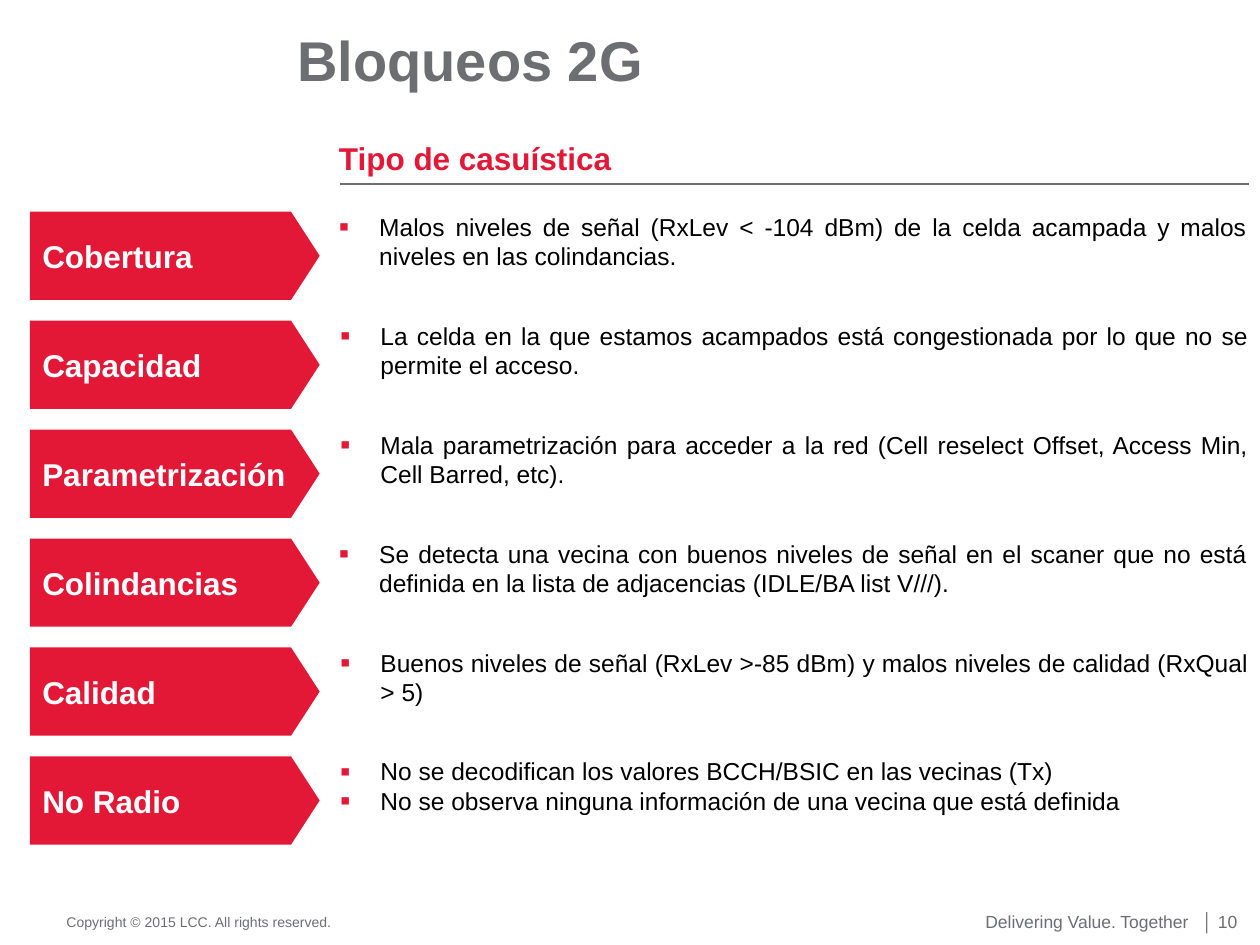
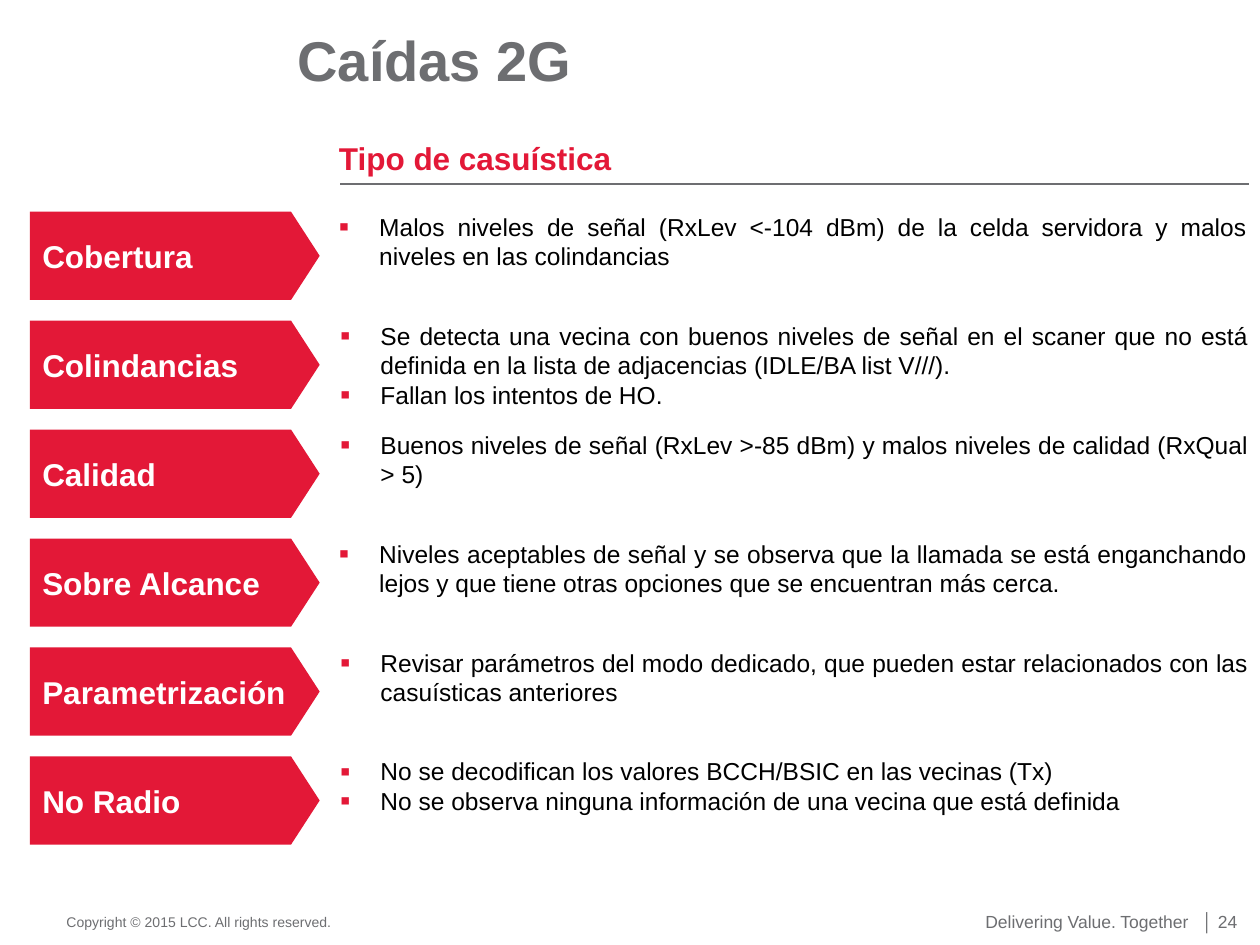
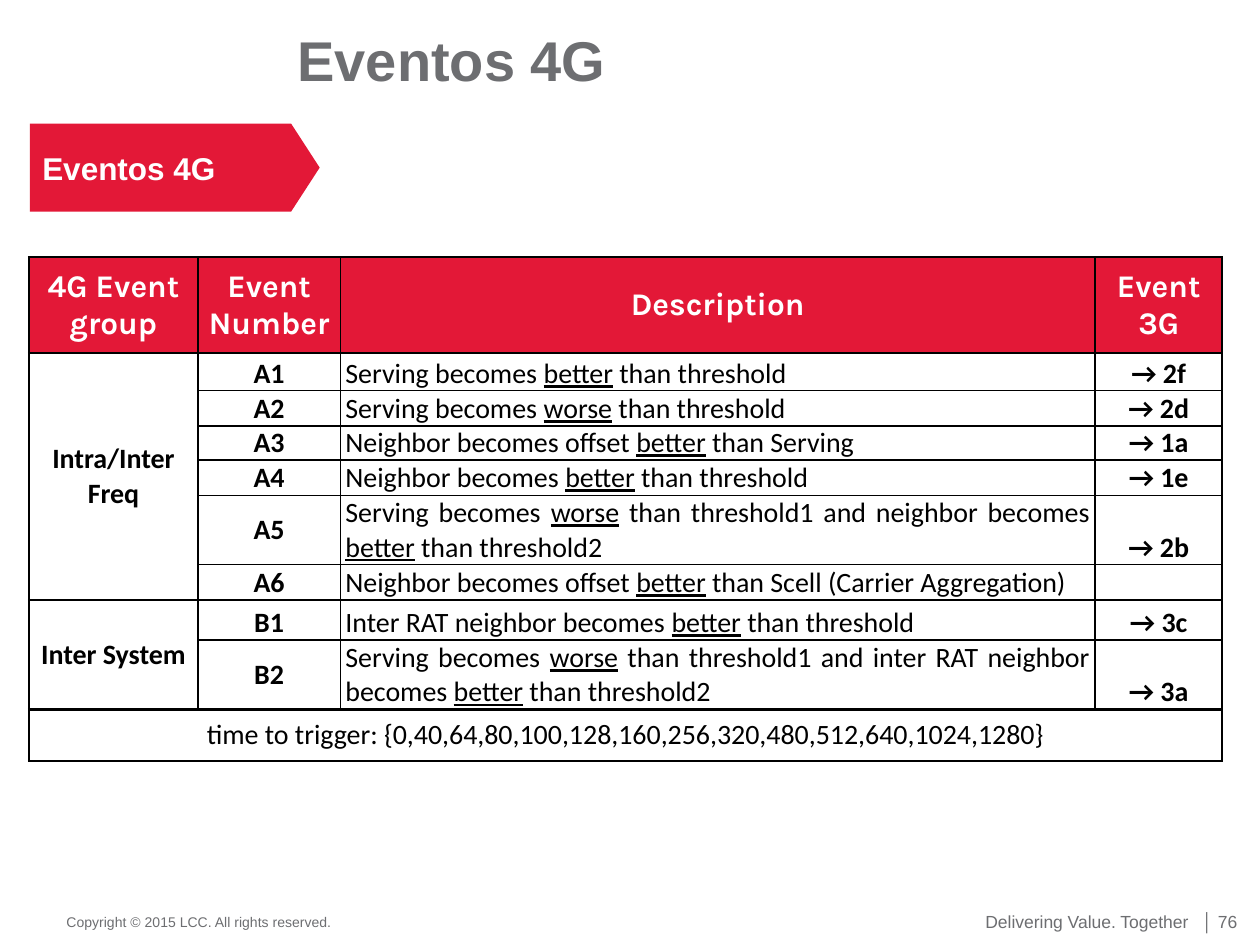
from lxml.etree import SubElement
from pptx import Presentation
from pptx.dml.color import RGBColor
from pptx.enum.shapes import MSO_CONNECTOR, MSO_SHAPE
from pptx.enum.text import MSO_ANCHOR, PP_ALIGN
from pptx.oxml.ns import qn
from pptx.util import Pt

RED = RGBColor(0xE3, 0x18, 0x37)
GRAY = RGBColor(0x6D, 0x6E, 0x71)
BLACK = RGBColor(0, 0, 0)
WHITE = RGBColor(0xFF, 0xFF, 0xFF)

ROW_TOP = 121
ROW_PITCH = 62.25
RULE_LEFT = 194.4
RULE_RIGHT = 713.5
BULLET_INDENT = 23

NO_RADIO = ("No Radio", [
    "No se decodifican los valores BCCH/BSIC en las vecinas (Tx)",
    "No se observa ninguna información de una vecina que está definida",
])
NEIGHBORS = ("Se detecta una vecina con buenos niveles de señal en el scaner que no está "
             "definida en la lista de adjacencias (IDLE/BA list V///).")
QUALITY = ("Calidad", [
    "Buenos niveles de señal (RxLev >-85 dBm) y malos niveles de calidad (RxQual > 5)",
])

BLOCKED_CASES = [
    ("Cobertura", ["Malos niveles de señal (RxLev < -104 dBm) de la celda acampada y malos "
                   "niveles en las colindancias."]),
    ("Capacidad", ["La celda en la que estamos acampados está congestionada por lo que no se "
                   "permite el acceso."]),
    ("Parametrización", ["Mala parametrización para acceder a la red (Cell reselect Offset, "
                         "Access Min, Cell Barred, etc)."]),
    ("Colindancias", [NEIGHBORS]),
    QUALITY,
    NO_RADIO,
]

DROPPED_CASES = [
    ("Cobertura", ["Malos niveles de señal (RxLev <-104 dBm) de la celda servidora y malos "
                   "niveles en las colindancias"]),
    ("Colindancias", [NEIGHBORS, "Fallan los intentos de HO."]),
    QUALITY,
    ("Sobre Alcance", ["Niveles aceptables de señal y se observa que la llamada se está "
                       "enganchando lejos y que tiene otras opciones que se encuentran más cerca."]),
    ("Parametrización", ["Revisar parámetros del modo dedicado, que pueden estar relacionados "
                         "con las casuísticas anteriores"]),
    NO_RADIO,
]

EVENT_ROWS = [
    ("4G Event group", "Event Number", "Description", "Event 3G"),
    ("Intra/Inter Freq", "A1", "Serving becomes |better| than threshold", "→ 2f"),
    ("", "A2", "Serving becomes |worse| than threshold", "→ 2d"),
    ("", "A3", "Neighbor becomes offset |better| than Serving", "→ 1a"),
    ("", "A4", "Neighbor becomes |better| than threshold", "→ 1e"),
    ("", "A5", "Serving becomes |worse| than threshold1 and neighbor becomes "
               "|better| than threshold2", "→ 2b"),
    ("", "A6", "Neighbor becomes offset |better| than Scell (Carrier Aggregation)", ""),
    ("Inter System", "B1", "Inter RAT neighbor becomes |better| than threshold", "→ 3c"),
    ("", "B2", "Serving becomes |worse| than threshold1 and inter RAT neighbor becomes "
               "|better| than threshold2", "→ 3a"),
    ("time to trigger: {0,40,64,80,100,128,160,256,320,480,512,640,1024,1280}", "", "", ""),
]
EVENT_MERGES = [((1, 0), (6, 0)), ((7, 0), (8, 0)), ((9, 0), (9, 3))]
COLUMN_WIDTHS = [96.5, 81.4, 431.3, 72.7]
ROW_HEIGHTS = [54.7, 21.6, 20.2, 19.4, 20.2, 39.6, 20.2, 23, 39.6, 29.5]
TWO_LINE_ROWS = (5, 8)
LAST_ROW = len(EVENT_ROWS) - 1
STRONG_ROW_EDGES = (0, 1, 7, 9, 10)
STRONG_COLUMN_EDGES = (0, 4)


def add_span(para, text, size, color, bold=False, face="Arial", underline=False):
    span = para.add_run()
    span.text = text
    span.font.size = Pt(size)
    span.font.name = face
    span.font.bold = bold
    span.font.color.rgb = color
    if underline:
        span.font.underline = True


def add_frame(page, left, top, width, height):
    box = page.shapes.add_textbox(Pt(left), Pt(top), Pt(width), Pt(height))
    frame = box.text_frame
    frame.word_wrap = True
    frame.margin_left = frame.margin_right = frame.margin_top = frame.margin_bottom = 0
    return frame


def add_label(page, text, bounds, size, color, bold=False, align=PP_ALIGN.LEFT):
    para = add_frame(page, *bounds).paragraphs[0]
    para.alignment = align
    add_span(para, text, size, color, bold)


def add_page(deck, title, number):
    page = deck.slides.add_slide(deck.slide_layouts[6])
    add_label(page, "Delivering Value. Together", (530, 520.6, 149, 12), 10, GRAY,
              align=PP_ALIGN.RIGHT)
    add_label(page, f"│ {number}", (680, 520.6, 27, 12), 10, GRAY, align=PP_ALIGN.RIGHT)
    add_label(page, "Copyright © 2015 LCC. All rights reserved.", (38, 522, 160, 9.4), 8, GRAY)
    add_label(page, title, (170, 14.4, 515, 39), 32, GRAY, True)
    return page


def add_arrow_tag(page, text, top):
    tag = page.shapes.add_shape(MSO_SHAPE.PENTAGON, Pt(17.1), Pt(top), Pt(165.6), Pt(50.4))
    tag.adjustments[0] = 0.324
    tag.shadow.inherit = False
    tag.fill.solid()
    tag.fill.fore_color.rgb = RED
    tag.line.fill.background()
    frame = tag.text_frame
    frame.vertical_anchor = MSO_ANCHOR.MIDDLE
    para = frame.paragraphs[0]
    para.alignment = PP_ALIGN.LEFT
    add_span(para, text, 18, WHITE, True)


def add_rule(page, top):
    rule = page.shapes.add_connector(
        MSO_CONNECTOR.STRAIGHT, Pt(RULE_LEFT), Pt(top), Pt(RULE_RIGHT), Pt(top))
    rule.line.color.rgb = GRAY
    rule.line.width = Pt(0.75)
    SubElement(rule._element.spPr, qn("a:effectLst"))


def set_bullet(para):
    properties = para._p.get_or_add_pPr()
    properties.set("marL", str(Pt(BULLET_INDENT)))
    properties.set("indent", str(-Pt(BULLET_INDENT)))
    color = SubElement(properties, qn("a:buClr"))
    SubElement(color, qn("a:srgbClr"), val=str(RED))
    SubElement(properties, qn("a:buSzPct"), val="120000")
    SubElement(properties, qn("a:buFont"), typeface="Arial")
    SubElement(properties, qn("a:buChar"), char="▪")


def add_bullets(page, lines, left, top):
    frame = add_frame(page, left, top, 519.1, 17 * max(2, len(lines)))
    for index, line in enumerate(lines):
        para = frame.add_paragraph() if index else frame.paragraphs[0]
        para.alignment = PP_ALIGN.JUSTIFY
        set_bullet(para)
        add_span(para, line, 14, BLACK)


def add_case_page(deck, title, number, cases):
    page = add_page(deck, title, number)
    add_label(page, "Tipo de casuística", (193.7, 79.2, 500, 21.6), 18, RED, True)
    add_rule(page, 105.1)
    for index, (name, lines) in enumerate(cases):
        top = ROW_TOP + index * ROW_PITCH
        add_arrow_tag(page, name, top)
        add_bullets(page, lines, RULE_LEFT if index % 3 else 193.7, top)


def set_borders(cell, row, column):
    bottom = row + cell.span_height if cell.is_merge_origin else row + 1
    right = column + cell.span_width if cell.is_merge_origin else column + 1
    edges = [
        ("a:lnL", column in STRONG_COLUMN_EDGES),
        ("a:lnR", right in STRONG_COLUMN_EDGES),
        ("a:lnT", row in STRONG_ROW_EDGES),
        ("a:lnB", bottom in STRONG_ROW_EDGES),
    ]
    properties = cell._tc.get_or_add_tcPr()
    for tag, strong in edges:
        if strong or not cell.is_spanned:
            line = SubElement(properties, qn(tag), w=str(Pt(1.5 if strong else 1)))
            fill = SubElement(line, qn("a:solidFill"))
            SubElement(fill, qn("a:srgbClr"), val=str(BLACK))


def fill_cell(cell, text, row, column):
    header = row == 0
    described = column == 2 and not header
    centered = row in (0, LAST_ROW) or column == 0 or (column == 1 and row in TWO_LINE_ROWS)
    cell.margin_left = cell.margin_right = Pt(2.9)
    cell.margin_top = cell.margin_bottom = 0
    cell.vertical_anchor = MSO_ANCHOR.MIDDLE if centered else MSO_ANCHOR.BOTTOM
    set_borders(cell, row, column)
    if header:
        cell.fill.solid()
        cell.fill.fore_color.rgb = RED
    else:
        cell.fill.background()
    para = cell.text_frame.paragraphs[0]
    para.alignment = PP_ALIGN.JUSTIFY if described else PP_ALIGN.CENTER
    if not text:
        SubElement(para._p, qn("a:endParaRPr"), sz="1200")
        return
    size, color, face = (18, WHITE, "Karla") if header else (16, BLACK, "Calibri")
    bold = not described and row != LAST_ROW
    for index, part in enumerate(text.split("|")):
        add_span(para, part, size, color, bold, face, underline=index % 2 == 1)


def add_event_table(page):
    frame = page.shapes.add_table(
        len(EVENT_ROWS), len(COLUMN_WIDTHS), Pt(16.6), Pt(147),
        Pt(sum(COLUMN_WIDTHS)), Pt(sum(ROW_HEIGHTS)))
    table = frame.table
    table.first_row = False
    table.horz_banding = False
    for column, width in zip(table.columns, COLUMN_WIDTHS):
        column.width = Pt(width)
    for row, height in zip(table.rows, ROW_HEIGHTS):
        row.height = Pt(height)
    for first, last in EVENT_MERGES:
        table.cell(*first).merge(table.cell(*last))
    for row, texts in enumerate(EVENT_ROWS):
        for column, text in enumerate(texts):
            fill_cell(table.cell(row, column), text, row, column)


def main():
    deck = Presentation()
    deck.slide_width = Pt(720)
    deck.slide_height = Pt(540)
    add_case_page(deck, "Bloqueos 2G", 10, BLOCKED_CASES)
    add_case_page(deck, "Caídas 2G", 24, DROPPED_CASES)
    page = add_page(deck, "Eventos 4G", 76)
    add_arrow_tag(page, "Eventos 4G", 70.6)
    add_event_table(page)
    deck.save("out.pptx")


if __name__ == "__main__":
    main()
